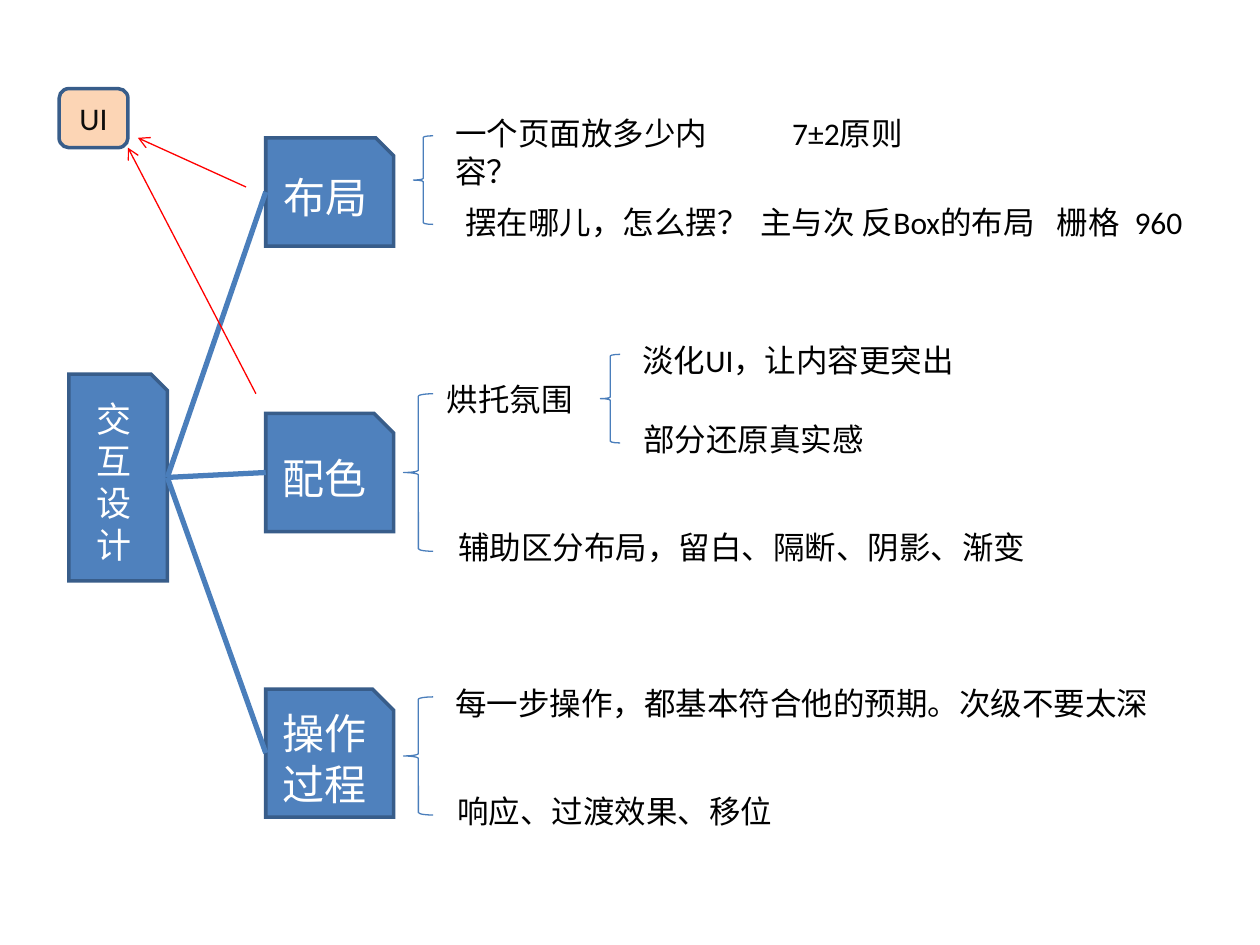
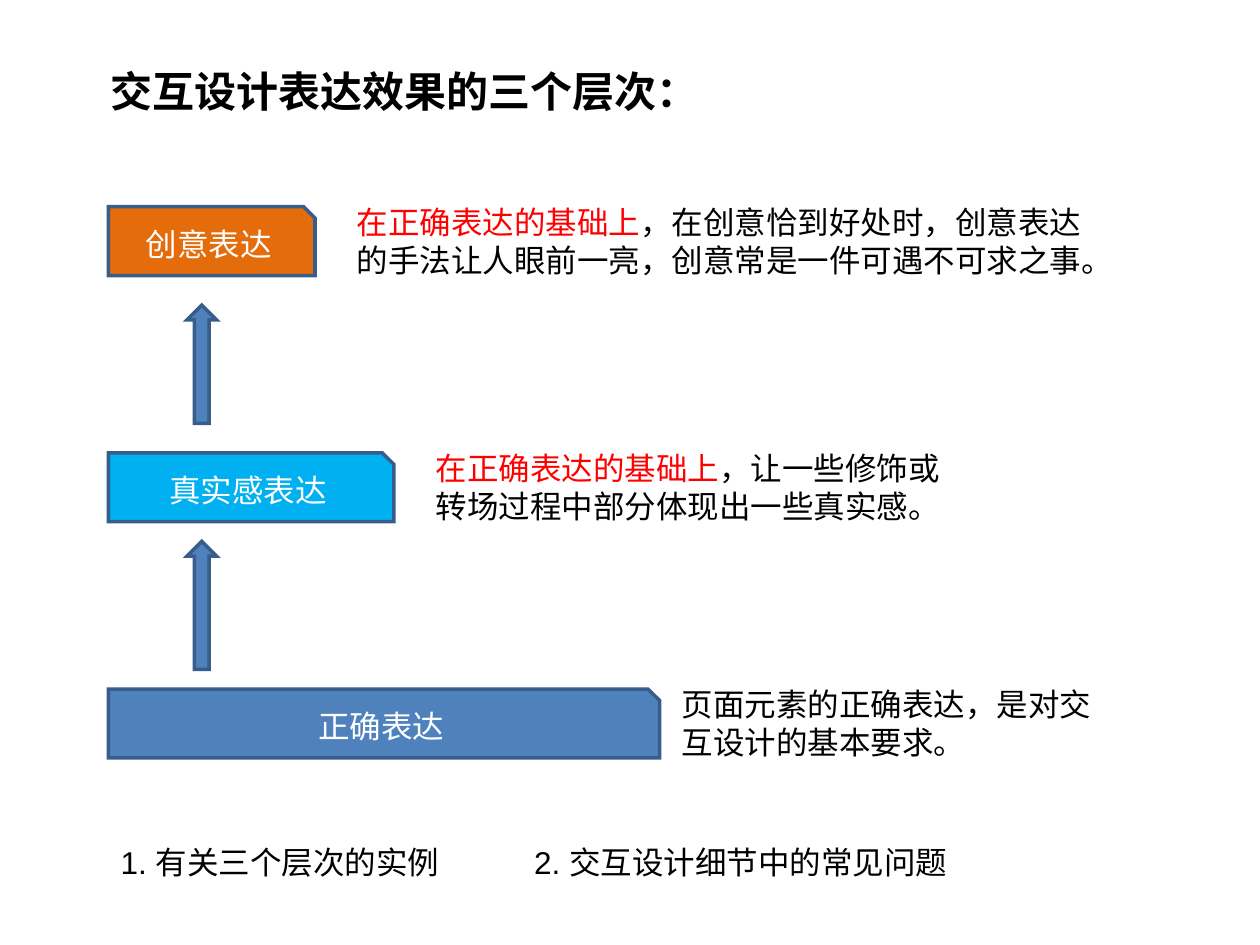
from pptx import Presentation, util as u
from pptx.dml.color import RGBColor
from pptx.enum import lang, shapes, text
from pptx.oxml.ns import qn
from lxml import etree

# Grid: 128 columns by 96 rows of square cells on a 10 x 7.5 inch slide
COLUMNS = 128
WIDTH, HEIGHT = u.Inches(10), u.Inches(7.5)
COLORS = {
    "blue": "4F81BD", "outline": "385D8A", "link": "4A7EBB",
    "red": "FF0000", "peach": "FCD5B5", "sky": "00B0F0",
    "orange": "E46C0A", "white": "FFFFFF", "black": "000000", "ink": "0D0D0D",
}
TEXT_ROWS = 5.1
SNIP = shapes.MSO_SHAPE.SNIP_1_RECTANGLE


def cells(*counts):
    return [round(count * WIDTH / COLUMNS) for count in counts]


def color(name):
    return RGBColor.from_string(COLORS[name])


def write(shape, runs, size=18, font="Calibri", bold=False, ink="black",
          align=text.PP_ALIGN.LEFT, wrap=True):
    """Write a string, or a list of (string, colour) runs, into a shape."""
    frame = shape.text_frame
    frame.word_wrap = wrap
    paragraph = frame.paragraphs[0]
    paragraph.alignment = align
    if isinstance(runs, str):
        runs = [(runs, ink)]
    for words, run_ink in runs:
        run = paragraph.add_run()
        run.text = words
        run.font.name, run.font.size, run.font.bold = font, u.Pt(size), bold
        run.font.color.rgb = color(run_ink)
        run.font.language_id = lang.MSO_LANGUAGE_ID.SIMPLIFIED_CHINESE


def add_label(slide, left, top, width, runs, rows=TEXT_ROWS, **style):
    box = slide.shapes.add_textbox(*cells(left, top, width, rows))
    write(box, runs, **style)
    box.text_frame.auto_size = text.MSO_AUTO_SIZE.SHAPE_TO_FIT_TEXT


def add_block(slide, kind, area, fill="blue", words="", ink="white", size=18):
    block = slide.shapes.add_shape(kind, *cells(*area))
    block.shadow.inherit = False
    block.fill.solid()
    block.fill.fore_color.rgb = color(fill)
    block.line.color.rgb = color("outline")
    block.line.width = u.Pt(2)
    etree.SubElement(block.line._get_or_add_ln(), qn("a:miter"), lim="800000")
    if words:
        block.text_frame.vertical_anchor = text.MSO_ANCHOR.MIDDLE
        write(block, words, size=size, ink=ink, align=text.PP_ALIGN.CENTER)


def add_brace(slide, *area):
    brace = slide.shapes.add_shape(shapes.MSO_SHAPE.LEFT_BRACE, *cells(*area))
    brace.shadow.inherit = False
    brace.fill.background()
    brace.line.color.rgb = color("link")
    brace.line.width = u.Pt(0.75)


def add_line(slide, start, end, ink="link", width=3, arrow=False):
    line = slide.shapes.add_connector(
        shapes.MSO_CONNECTOR.STRAIGHT, *cells(*start, *end))
    line.line.color.rgb = color(ink)
    line.line.width = u.Pt(width)
    if arrow:
        etree.SubElement(line.line._get_or_add_ln(), qn("a:tailEnd"), type="arrow")
    etree.SubElement(line._element.spPr, qn("a:effectLst"))


def build_mind_map(slide):
    # Root and its three branches
    root = (7, 38, 10, 21)
    root_edge = (root[0] + root[2], root[1] + root[3] / 2)
    add_block(slide, SNIP, root, words="交互设计", size=20)
    branches = [("布局", 14, 11), ("配色", 42, 12), ("操作过程", 70, 13)]
    for words, top, height in branches:
        add_block(slide, SNIP, (27, top, 13, height), words=words, size=24)
    for words, top, height in branches:
        add_line(slide, root_edge, (27, top + height / 2))

    # Braces
    for area in [(42, 13.8, 2, 9), (41, 40, 3, 16), (61, 36, 2, 9),
                 (41, 70.8, 3, 12)]:
        add_brace(slide, *area)

    # Details: left, top, width, words
    for left, top, width, words in [
            (78.5, 11, 19, " 7±2原则"),
            (86.3, 20, 24, "反Box的布局"),
            (106.1, 20, 10, "栅格"),
            (114, 20, 9, "960"),
            (44.1, 38, 17, "烘托氛围"),
            (45.3, 53, 62, "辅助区分布局，留白、隔断、阴影、渐变"),
            (64, 34, 37, "淡化UI，让内容更突出"),
            (64.1, 42, 27, "部分还原真实感"),
            (45.2, 79.8, 36, "响应、过渡效果、移位")]:
        add_label(slide, left, top, width, words, wrap=False)
    for left, top, width, words in [
            (45, 11, 30, "一个页面放多少内容？"),
            (46, 20, 33, "摆在哪儿，怎么摆？"),
            (76, 20, 14, "主与次"),
            (45, 68.9, 77, "每一步操作，都基本符合他的预期。次级不要太深")]:
        add_label(slide, left, top, width, words, font="Arial")

    # Arrows to the UI badge
    for start, end in [((25, 19), (14, 14)), ((26, 40), (13, 15))]:
        add_line(slide, start, end, ink="red", width=0.75, arrow=True)
    add_block(slide, shapes.MSO_SHAPE.ROUNDED_RECTANGLE, (6, 9, 7, 6),
              fill="peach", words="UI", ink="ink")


def build_levels(slide):
    add_label(slide, 10, 6, 84, "交互设计表达效果的三个层次：", rows=6.4,
              size=24, bold=True)

    # Level bars, each with its explanation
    basis = ("在正确表达的基础上", "red")
    levels = [
        ("创意表达", "orange", 21, 21, 35, 77,
         [basis, ("，在创意恰到好处时，创意表达的手法让人眼前一亮，"
                  "创意常是一件可遇不可求之事。", "black")]),
        ("真实感表达", "sky", 46, 29, 43, 55,
         [basis, ("，让一些修饰或转场过程中部分体现出一些真实感。", "black")]),
        ("正确表达", "blue", 70, 56, 68, 46,
         "页面元素的正确表达，是对交互设计的基本要求。"),
    ]
    for words, fill, top, width, note_left, note_width, note in levels:
        add_block(slide, SNIP, (11, top, width, 7), fill=fill, words=words)
        add_label(slide, note_left, top - 1, note_width, note, rows=9,
                  font="Arial")

    # Arrows between the levels
    for top, height in [(31, 12), (55, 13)]:
        add_block(slide, shapes.MSO_SHAPE.UP_ARROW, (19, top, 3, height))

    # Follow-up topics
    for left, width, words in [(11, 39, "1. 有关三个层次的实例"),
                               (53, 58, "2. 交互设计细节中的常见问题")]:
        add_label(slide, left, 85, width, words, font="Arial")


def main():
    presentation = Presentation()
    presentation.slide_width, presentation.slide_height = WIDTH, HEIGHT
    for build in (build_mind_map, build_levels):
        build(presentation.slides.add_slide(presentation.slide_layouts[6]))
    presentation.save("out.pptx")


if __name__ == "__main__":
    main()
